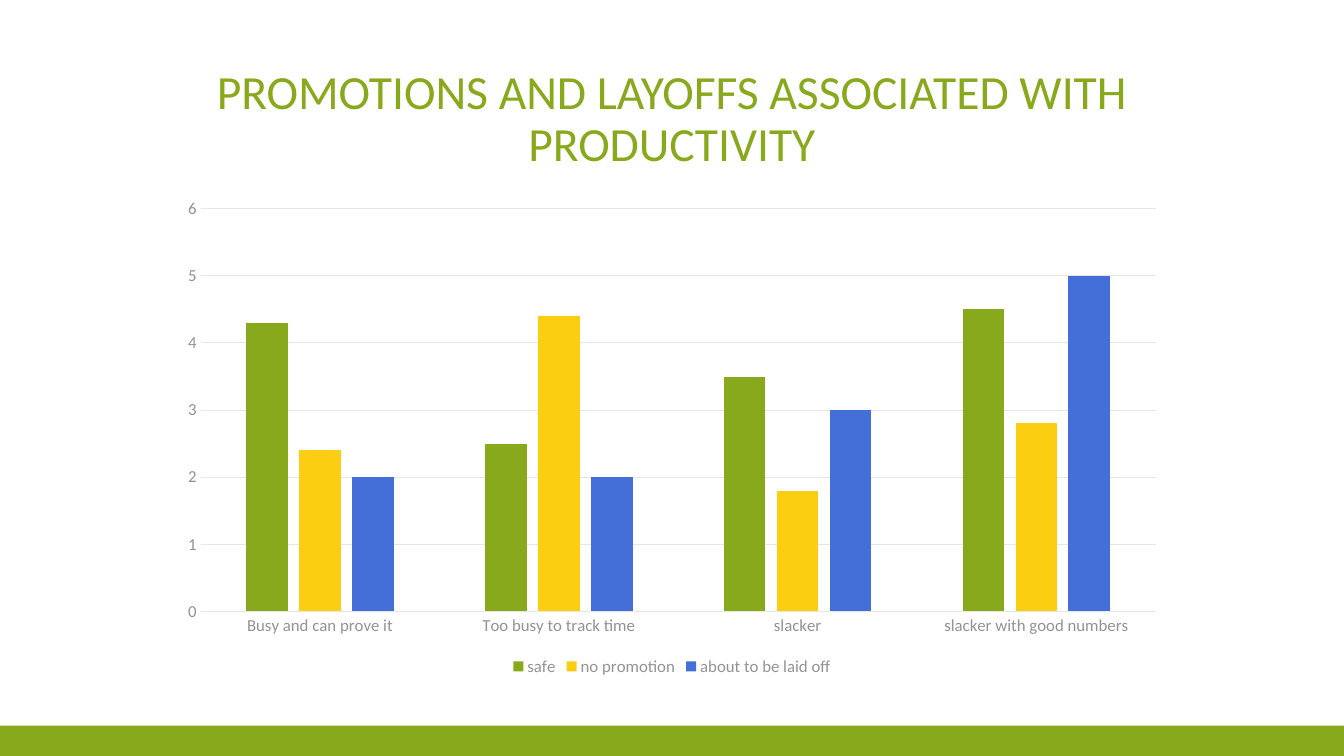
from pptx import Presentation
from pptx.chart.data import CategoryChartData
from pptx.dml.color import RGBColor
from pptx.enum.chart import XL_CHART_TYPE as ChartType, XL_LEGEND_POSITION as LegendPosition
from pptx.enum.chart import XL_TICK_MARK as TickMark
from pptx.enum.shapes import MSO_SHAPE as Shape
from pptx.enum.text import MSO_ANCHOR as Anchor, MSO_AUTO_SIZE as AutoSize, PP_ALIGN as Align
from pptx.util import Pt

TITLE = "PROMOTIONS AND LAYOFFS ASSOCIATED WITH PRODUCTIVITY"
WORK_STYLES = ["Busy and can prove it", "Too busy to track time",
               "slacker", "slacker with good numbers"]
OUTCOMES = [
    ("safe", (4.3, 2.5, 3.5, 4.5), "87A91B"),
    ("no promotion", (2.4, 4.4, 1.8, 2.8), "FBCE11"),
    ("about to be laid off", (2, 2, 3, 5), "446ED8"),
]
GREEN, LABEL_GRAY, LINE_GRAY = "87A91B", "939393", "E6E6E6"
FONT = "Calibri"

SLIDE_W, SLIDE_H = 960, 540
BAND_H = 21.6
CONTENT_W = 720
CONTENT_X = (SLIDE_W - CONTENT_W) / 2
TITLE_Y, TITLE_H = 36, 90
CHART_Y, CHART_H = 135, 351


def color(hex_code):
    return RGBColor.from_string(hex_code)


def style_font(font, size, hex_code):
    font.name = FONT
    font.size = Pt(size)
    font.color.rgb = color(hex_code)


def style_line(line):
    line.color.rgb = color(LINE_GRAY)
    line.width = Pt(0.75)


def add_band(slide):
    """Draw the green strip along the bottom edge."""
    band = slide.shapes.add_shape(Shape.RECTANGLE, 0, Pt(SLIDE_H - BAND_H),
                                  Pt(SLIDE_W), Pt(BAND_H))
    band.shadow.inherit = False
    band.fill.solid()
    band.fill.fore_color.rgb = color(GREEN)
    band.line.fill.background()


def set_title(slide):
    title = slide.shapes.title
    title.left, title.top = Pt(CONTENT_X), Pt(TITLE_Y)
    title.width, title.height = Pt(CONTENT_W), Pt(TITLE_H)
    frame = title.text_frame
    frame.text = TITLE
    frame.word_wrap = True
    frame.auto_size = AutoSize.NONE
    frame.vertical_anchor = Anchor.BOTTOM
    heading = frame.paragraphs[0]
    heading.alignment = Align.CENTER
    heading.line_spacing = 0.9
    heading.space_before = Pt(0)
    style_font(heading.runs[0].font, 34, GREEN)


def add_outcome_chart(slide):
    data = CategoryChartData()
    data.categories = WORK_STYLES
    for name, values, _ in OUTCOMES:
        data.add_series(name, values)
    chart = slide.shapes.add_chart(
        ChartType.COLUMN_CLUSTERED, Pt(CONTENT_X), Pt(CHART_Y),
        Pt(CONTENT_W), Pt(CHART_H), data).chart
    style_font(chart.font, 10, "595959")
    chart.has_title = False

    chart.has_legend = True
    chart.legend.position = LegendPosition.BOTTOM
    chart.legend.include_in_layout = False
    style_font(chart.legend.font, 12, LABEL_GRAY)

    columns = chart.plots[0]
    columns.vary_by_categories = False
    columns.gap_width = 219
    columns.overlap = -27
    for series, (_, _, fill) in zip(columns.series, OUTCOMES):
        series.format.fill.solid()
        series.format.fill.fore_color.rgb = color(fill)

    for axis in (chart.category_axis, chart.value_axis):
        axis.major_tick_mark = axis.minor_tick_mark = TickMark.NONE
        style_font(axis.tick_labels.font, 12, LABEL_GRAY)
    style_line(chart.category_axis.format.line)

    scores = chart.value_axis
    scores.minimum_scale, scores.maximum_scale, scores.major_unit = 0, 6, 1
    scores.format.line.fill.background()
    scores.has_major_gridlines = True
    style_line(scores.major_gridlines.format.line)


def main():
    deck = Presentation()
    deck.slide_width, deck.slide_height = Pt(SLIDE_W), Pt(SLIDE_H)
    slide = deck.slides.add_slide(deck.slide_layouts.get_by_name("Title Only"))
    add_band(slide)
    set_title(slide)
    add_outcome_chart(slide)
    deck.save("out.pptx")


if __name__ == "__main__":
    main()
